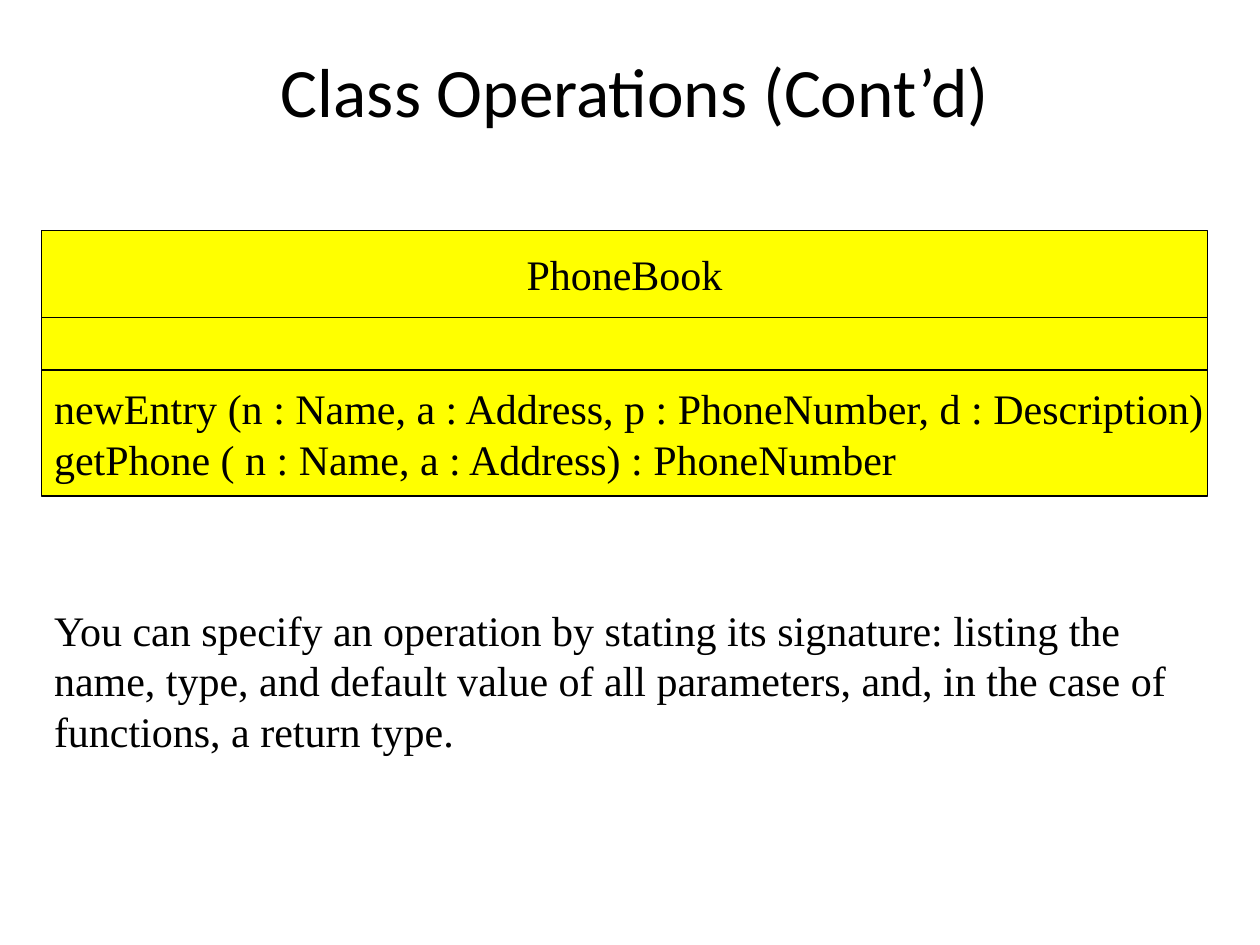
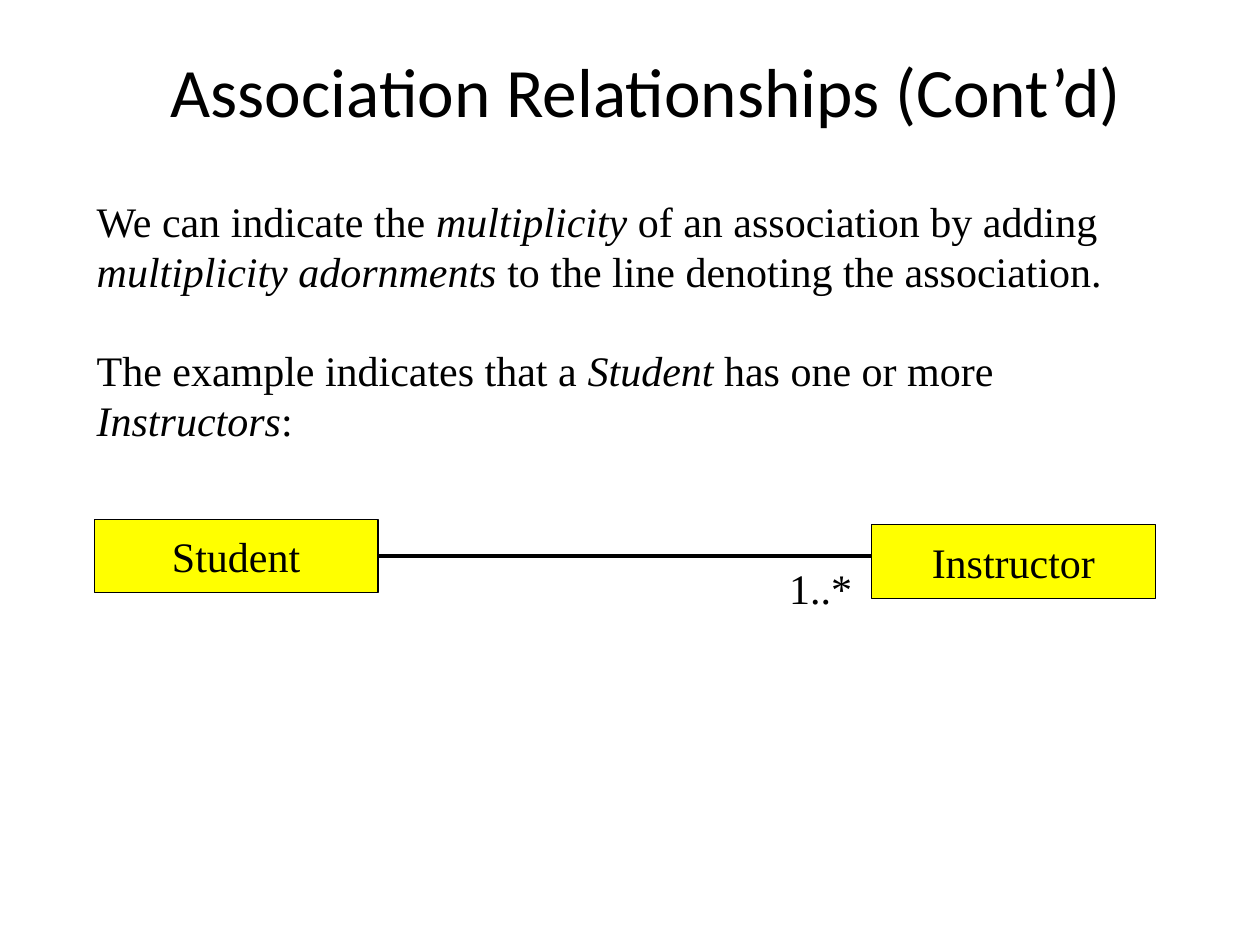
"""Build two slides on UML class operations and association multiplicity."""
import pptx
import pptx.util
import pptx.dml.color
import pptx.enum.shapes
import pptx.enum.text
import pptx.oxml

Cm, Pt = pptx.util.Cm, pptx.util.Pt
ALIGN = pptx.enum.text.PP_ALIGN
ANCHOR = pptx.enum.text.MSO_ANCHOR
INK, FILL = "000000", "FFFF00"
TITLE = {"name": "Calibri", "size": Pt(39.6)}
BODY = {"name": "Times New Roman", "size": Pt(24)}
GAP = 27.6

OPS = {
    "title": ("Class Operations (Cont’d)", (1.9, 1.07, 21.8, 1.48)),
    "notes": [
        (["You can specify an operation by stating its signature: listing the "
          "name, type, and default value of all parameters, and, in the case of "
          "functions, a return type."], (0.84, 12.06, 23.28, 3.3)),
    ],
}
BOOK = {"left": 0.84, "width": 23.5}
ROWS = [
    (4.65, 1.75, ["PhoneBook"], ALIGN.CENTER),
    (6.4, 1.32, [], ALIGN.CENTER),
    (7.46, 2.54, ["newEntry (n : Name, a : Address, p : PhoneNumber, d : Description)",
                  "getPhone ( n : Name, a : Address) : PhoneNumber"], ALIGN.LEFT),
]
LINKS = {
    "title": ("Association Relationships (Cont’d)", (1.7, 1.07, 22.65, 1.48)),
    "notes": [
        (["We can indicate the _multiplicity_ of an association by adding "
          "_multiplicity adornments_ to the line denoting the association.",
          "The example indicates that a _Student_ has one or more _Instructors_:"],
         (1.7, 3.81, 22.52, 5.33)),
        (["1..*"], (15.66, 11.22, 1.9, 1.27)),
    ],
}
STUDENT = ("Student", (1.9, 10.47, 5.72, 1.48))
TEACHER = ("Instructor", (17.57, 10.58, 5.72, 1.48))
LINE_END = 17.78


def color(code):
    return pptx.dml.color.RGBColor.from_string(code)


def style(item, **values):
    for key, value in values.items():
        setattr(item, key, value)


def write(frame, lines, font, align=ALIGN.LEFT, gap=0):
    for num, line in enumerate(lines):
        para = frame.add_paragraph() if num else frame.paragraphs[0]
        style(para, alignment=align, space_before=Pt(gap if num else 0))
        for part, text in enumerate(line.split("_")):
            if text:
                run = para.add_run()
                run.text = text
                style(run.font, italic=part % 2 == 1, **font)
                run.font.color.rgb = color(INK)


def label(slide, lines, place, font, align=ALIGN.LEFT, anchor=ANCHOR.TOP):
    frame = slide.shapes.add_textbox(*map(Cm, place)).text_frame
    style(frame, word_wrap=True, vertical_anchor=anchor)
    write(frame, lines, font, align, GAP)


def box(shapes, lines, place, align=ALIGN.CENTER):
    rect = shapes.add_shape(pptx.enum.shapes.MSO_SHAPE.RECTANGLE, *map(Cm, place))
    rect.shadow.inherit = False
    rect.fill.solid()
    rect.fill.fore_color.rgb = color(FILL)
    rect.line.color.rgb = color(INK)
    rect.line.width = Pt(0.75)
    style(rect.text_frame, word_wrap=False, vertical_anchor=ANCHOR.MIDDLE)
    write(rect.text_frame, lines, BODY, align)
    return rect


def start(deck, page):
    slide = deck.slides.add_slide(deck.slide_layouts[6])
    text, place = page["title"]
    label(slide, [text], place, TITLE, ALIGN.CENTER, ANCHOR.MIDDLE)
    for lines, place in page["notes"]:
        label(slide, lines, place, BODY)
    return slide


def join(slide, rect, end):
    mid = rect.top + rect.height // 2
    line = slide.shapes.add_connector(
        pptx.enum.shapes.MSO_CONNECTOR.STRAIGHT, rect.left + rect.width, mid, Cm(end), mid)
    line.begin_connect(rect, 3)
    line.line.color.rgb = color(INK)
    line.line.width = Pt(2.25)
    props = line._element.spPr
    props.append(props.makeelement(pptx.oxml.ns.qn("a:effectLst"), {}))


def main():
    deck = pptx.Presentation()
    style(deck, slide_width=Cm(25.4), slide_height=Cm(19.05))

    group = start(deck, OPS).shapes.add_group_shape()
    for top, height, lines, align in ROWS:
        box(group.shapes, lines, (BOOK["left"], top, BOOK["width"], height), align)

    slide = start(deck, LINKS)
    name, place = STUDENT
    student = box(slide.shapes, [name], place)
    join(slide, student, LINE_END)
    name, place = TEACHER
    box(slide.shapes, [name], place)

    deck.save("out.pptx")


if __name__ == "__main__":
    main()
